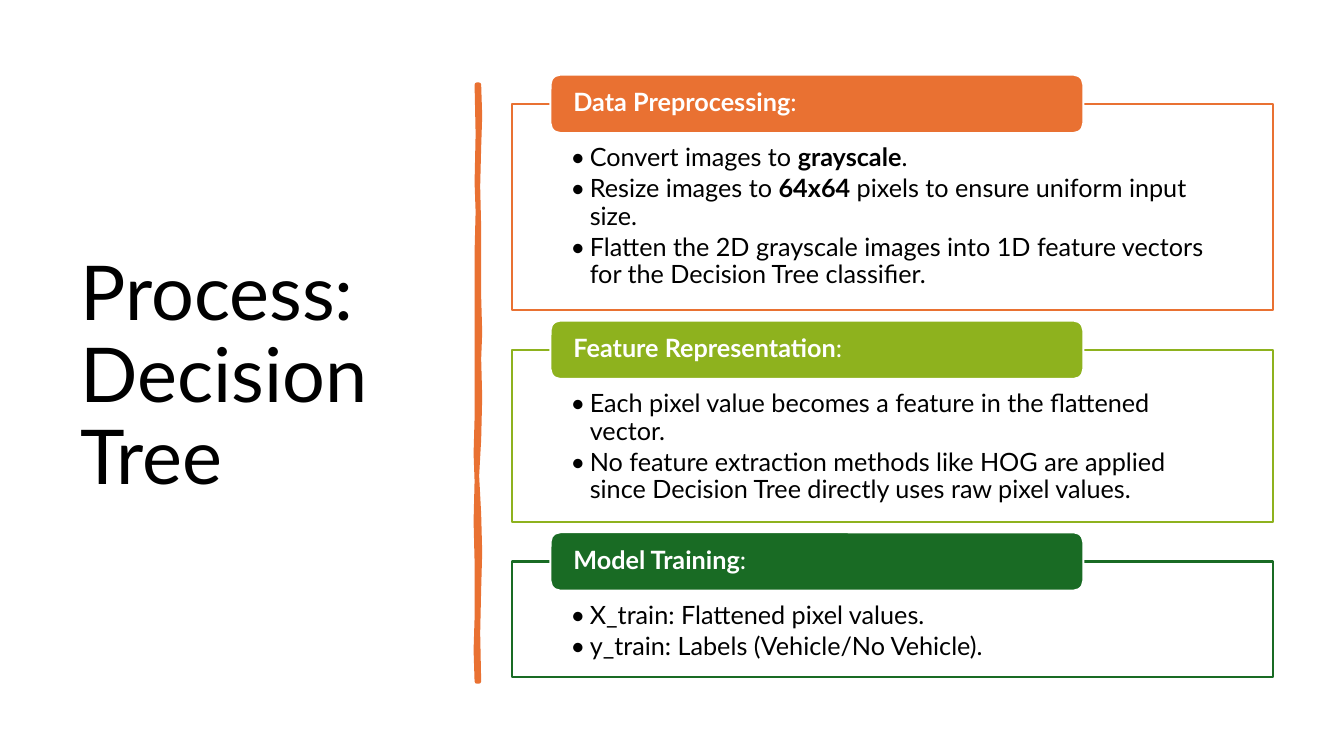
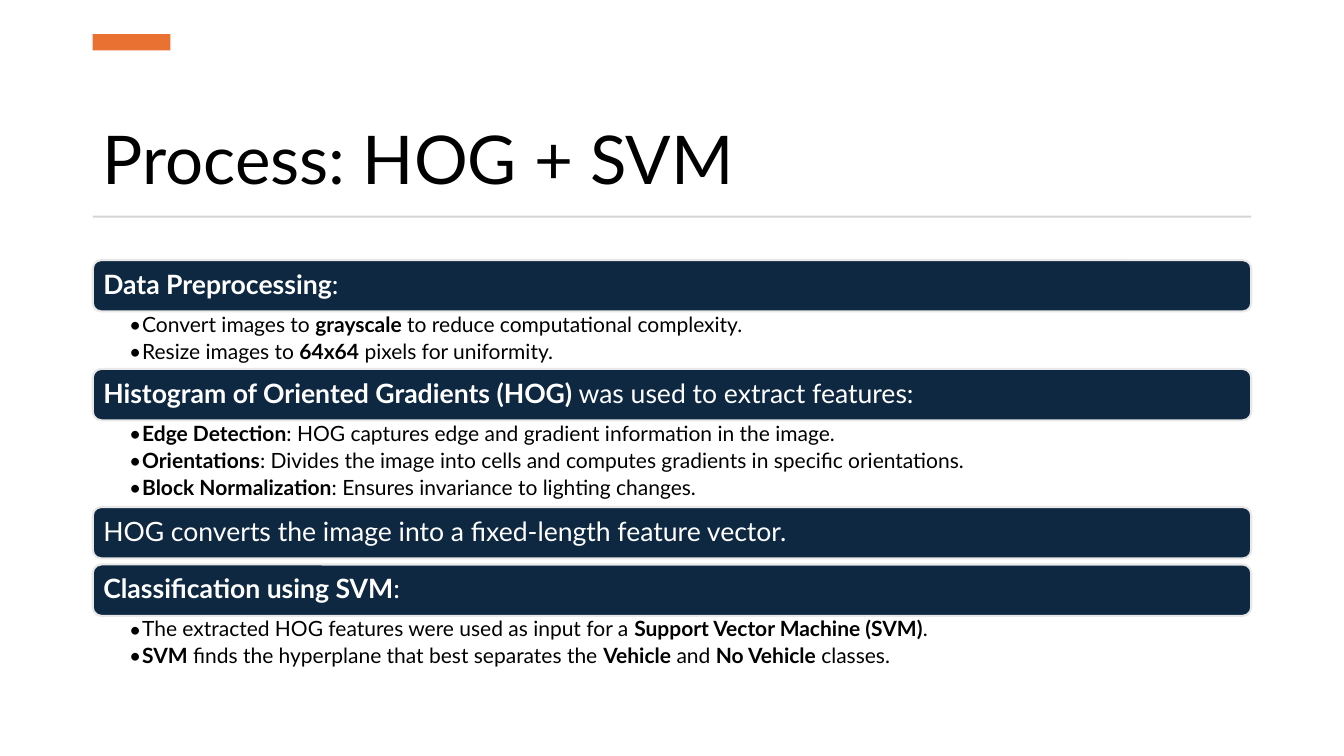
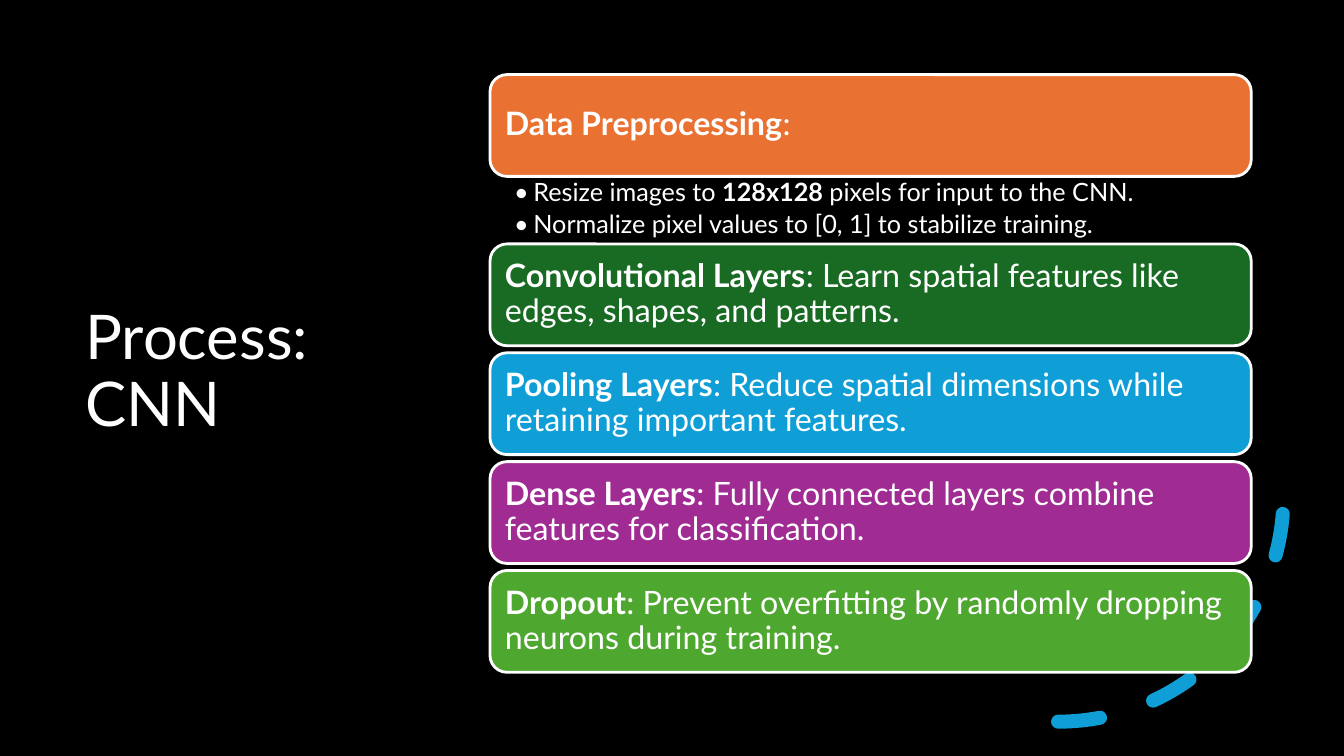
from lxml import etree
from pptx import Presentation
from pptx.dml.color import RGBColor
from pptx.enum import dml, shapes, text
from pptx.oxml.ns import qn
from pptx.util import Inches, Pt

WIDTH, HEIGHT = 13.33, 7.5
FONT = "Lato"
BLACK, WHITE, GREY, PALE = "000000", "FFFFFF", "D5D5D5", "E8E8E8"
ORANGE, LIME, GREEN, NAVY = "E97132", "8EB21E", "196B24", "0E2841"
BLUE, PURPLE, LEAF = "0F9ED5", "A02B93", "4EA72E"

# Outline of the hand-drawn bar, clockwise from its top right corner
BAR_OUTLINE = [
    (4.75, 0.84), (4.76, 1.15), (4.75, 1.46), (4.74, 1.85), (4.75, 2.26),
    (4.75, 2.94), (4.76, 3.3), (4.75, 3.56), (4.76, 3.94), (4.75, 4.36),
    (4.73, 4.72), (4.75, 5.1), (4.76, 5.48), (4.75, 5.84), (4.74, 6.28),
    (4.75, 6.76), (4.73, 6.76), (4.72, 6.45), (4.73, 6.13), (4.73, 5.57),
    (4.72, 5.17), (4.73, 4.77), (4.72, 4.5), (4.73, 4.15), (4.73, 3.35),
    (4.73, 2.5), (4.74, 2.1), (4.73, 1.81), (4.74, 1.33), (4.73, 0.84),
]


def color(value):
    return RGBColor.from_string(value)


def paint(sp, fill=None, line=None, width=1.5):
    sp.shadow.inherit = False
    if fill:
        sp.fill.solid()
        sp.fill.fore_color.rgb = color(fill)
    else:
        sp.fill.background()
    if line:
        sp.line.color.rgb = color(line)
        sp.line.width = Pt(width)
    else:
        sp.line.fill.background()


def add_box(s, kind, box, fill=None, line=None, width=1.5):
    sp = s.shapes.add_shape(kind, *map(Inches, box))
    paint(sp, fill, line, width)
    return sp


def write(sp, paragraphs, size, ink, insets=(0.1, 0.05, 0.1, 0.05),
          anchor=text.MSO_ANCHOR.MIDDLE, indent=None, after=0):
    """Fill a shape with text; ** switches bold on and off."""
    tf = sp.text_frame
    tf.word_wrap = True
    tf.vertical_anchor = anchor
    tf.margin_left, tf.margin_top, tf.margin_right, tf.margin_bottom = map(Inches, insets)
    for i, line in enumerate(paragraphs):
        p = tf.paragraphs[0] if i == 0 else tf.add_paragraph()
        p.alignment = text.PP_ALIGN.LEFT
        p.line_spacing = 0.9
        if i < len(paragraphs) - 1:
            p.space_after = Pt(after)
        if indent:
            pPr = p._p.get_or_add_pPr()
            pPr.set("marL", str(Inches(indent)))
            pPr.set("indent", str(-Inches(indent)))
            etree.SubElement(pPr, qn("a:buFont")).set("typeface", FONT)
            etree.SubElement(pPr, qn("a:buChar")).set("char", "•")
        for j, part in enumerate(line.split("**")):
            if part:
                r = p.add_run()
                r.text = part
                r.font.name = FONT
                r.font.size = Pt(size)
                r.font.bold = j % 2 == 1
                r.font.color.rgb = color(ink)


def add_title(s, box, words, size, ink=BLACK, anchor=text.MSO_ANCHOR.MIDDLE):
    write(s.shapes.add_textbox(*map(Inches, box)), [words], size, ink, anchor=anchor)


def add_wavy_bar(s):
    start, *rest = [(Inches(x), Inches(y)) for x, y in BAR_OUTLINE]
    builder = s.shapes.build_freeform(*start)
    builder.add_line_segments(rest, close=True)
    sp = builder.convert_to_shape()
    paint(sp, ORANGE, ORANGE, 3.25)
    etree.SubElement(sp.line._get_or_add_ln(), qn("a:round"))


def add_panels(s, left, top, width, panels, gap=0.39):
    """Outlined panels, each with a tab over its top edge."""
    for heading, tint, height, bullets in panels:
        panel = add_box(s, shapes.MSO_SHAPE.RECTANGLE, (left, top, width, height), WHITE, tint)
        write(panel, bullets, 18, BLACK, (0.58, 0.41, 0.59, 0.14),
              text.MSO_ANCHOR.TOP, indent=0.19, after=2.7)
        tab = add_box(s, shapes.MSO_SHAPE.ROUNDED_RECTANGLE,
                      (left + 0.38, top - 0.29, 0.7 * width, 0.58), tint, WHITE)
        write(tab, [heading], 18, WHITE, (0.2, 0, 0.2, 0))
        top += height + gap


def add_stack(s, left, top, width, items, bar, gap, line, line_width, pad, size,
              list_size, list_ink, list_pad, indent, row):
    """Full-width bars, each followed by its bullets or by a gap."""
    for heading, tint, bullets in items:
        sp = add_box(s, shapes.MSO_SHAPE.ROUNDED_RECTANGLE, (left, top, width, bar),
                     tint, line, line_width)
        write(sp, [heading], size, WHITE, (pad, pad, pad, pad))
        top += bar
        if bullets:
            height = row * len(bullets) - 0.01
            tb = s.shapes.add_textbox(*map(Inches, (left, top, width, height)))
            write(tb, bullets, list_size, list_ink, list_pad, text.MSO_ANCHOR.TOP,
                  indent, after=0.2 * list_size)
            top += height
        else:
            top += gap


def add_dashed_arc(s, box):
    sp = add_box(s, shapes.MSO_SHAPE.ARC, box, line=BLUE, width=10)
    sp.line.dash_style = dml.MSO_LINE.DASH
    sp.line._get_or_add_ln().set("cap", "rnd")
    sp._element.spPr.find(qn("a:xfrm")).set("flipV", "1")


def decision_tree_slide(s):
    add_title(s, (0.7, 0.7, 3.74, 6.1), "Process: Decision Tree", 54)
    add_wavy_bar(s)
    add_panels(s, 5.08, 1.03, 7.55, [
        ("**Data Preprocessing**:", ORANGE, 2.05, [
            "Convert images to **grayscale**.",
            "Resize images to **64x64** pixels to ensure uniform input size.",
            "Flatten the 2D grayscale images into 1D feature vectors for the "
            "Decision Tree classifier."]),
        ("**Feature Representation**:", LIME, 1.71, [
            "Each pixel value becomes a feature in the flattened vector.",
            "No feature extraction methods like HOG are applied since Decision Tree "
            "directly uses raw pixel values."]),
        ("**Model Training**:", GREEN, 1.15, [
            "X_train: Flattened pixel values.",
            "y_train: Labels (Vehicle/No Vehicle)."]),
    ])


def hog_svm_slide(s):
    left, width = 0.92, 11.49
    add_title(s, (left, 0.75, width, 1.27), "Process: HOG + SVM", 48,
              anchor=text.MSO_ANCHOR.BOTTOM)
    # Accent block and rule under the title
    add_box(s, shapes.MSO_SHAPE.RECTANGLE, (left, 0.34, 0.77, 0.16), ORANGE)
    add_box(s, shapes.MSO_SHAPE.RECTANGLE, (left, 2.14, width, 0.02), GREY)
    add_stack(s, left, 2.58, width, [
        ("**Data Preprocessing**:", NAVY, [
            "Convert images to **grayscale** to reduce computational complexity.",
            "Resize images to **64x64** pixels for uniformity."]),
        ("**Histogram of Oriented Gradients (HOG)** was used to extract features:", NAVY, [
            "**Edge Detection**: HOG captures edge and gradient information in the image.",
            "**Orientations**: Divides the image into cells and computes gradients in "
            "specific orientations.",
            "**Block Normalization**: Ensures invariance to lighting changes."]),
        ("HOG converts the image into a fixed-length feature vector.", NAVY, []),
        ("**Classification using SVM**:", NAVY, [
            "The extracted HOG features were used as input for a "
            "**Support Vector Machine (SVM)**.",
            "**SVM** finds the hyperplane that best separates the **Vehicle** and "
            "**No Vehicle** classes."]),
    ], bar=0.51, gap=0.06, line=PALE, line_width=1.5, pad=0.08, size=19, list_size=15,
        list_ink=BLACK, list_pad=(0.36, 0.03, 0.15, 0.03), indent=0.13, row=0.29)


def cnn_slide(s):
    add_box(s, shapes.MSO_SHAPE.RECTANGLE, (0, 0, WIDTH, HEIGHT), BLACK)
    add_title(s, (0.75, 0.65, 3.5, 6.1), "Process: CNN", 44, WHITE)
    add_dashed_arc(s, (8.26, 2.69, 4.47, 4.47))
    add_stack(s, 4.86, 0.74, 7.55, [
        ("**Data Preprocessing**:", ORANGE, [
            "Resize images to **128x128** pixels for input to the CNN.",
            "Normalize pixel values to [0, 1] to stabilize training."]),
        ("**Convolutional Layers**: Learn spatial features like edges, shapes, and patterns.",
         GREEN, []),
        ("**Pooling Layers**: Reduce spatial dimensions while retaining important features.",
         BLUE, []),
        ("**Dense Layers**: Fully connected layers combine features for classification.",
         PURPLE, []),
        ("**Dropout**: Prevent overfitting by randomly dropping neurons during training.",
         LEAF, []),
    ], bar=1.01, gap=0.07, line=WHITE, line_width=2, pad=0.1, size=23, list_size=18,
        list_ink=WHITE, list_pad=(0.24, 0.03, 0.18, 0.03), indent=0.19, row=0.34)


def main():
    prs = Presentation()
    prs.slide_width, prs.slide_height = Inches(WIDTH), Inches(HEIGHT)
    for build in (decision_tree_slide, hog_svm_slide, cnn_slide):
        build(prs.slides.add_slide(prs.slide_layouts[6]))
    prs.save("out.pptx")


if __name__ == "__main__":
    main()
